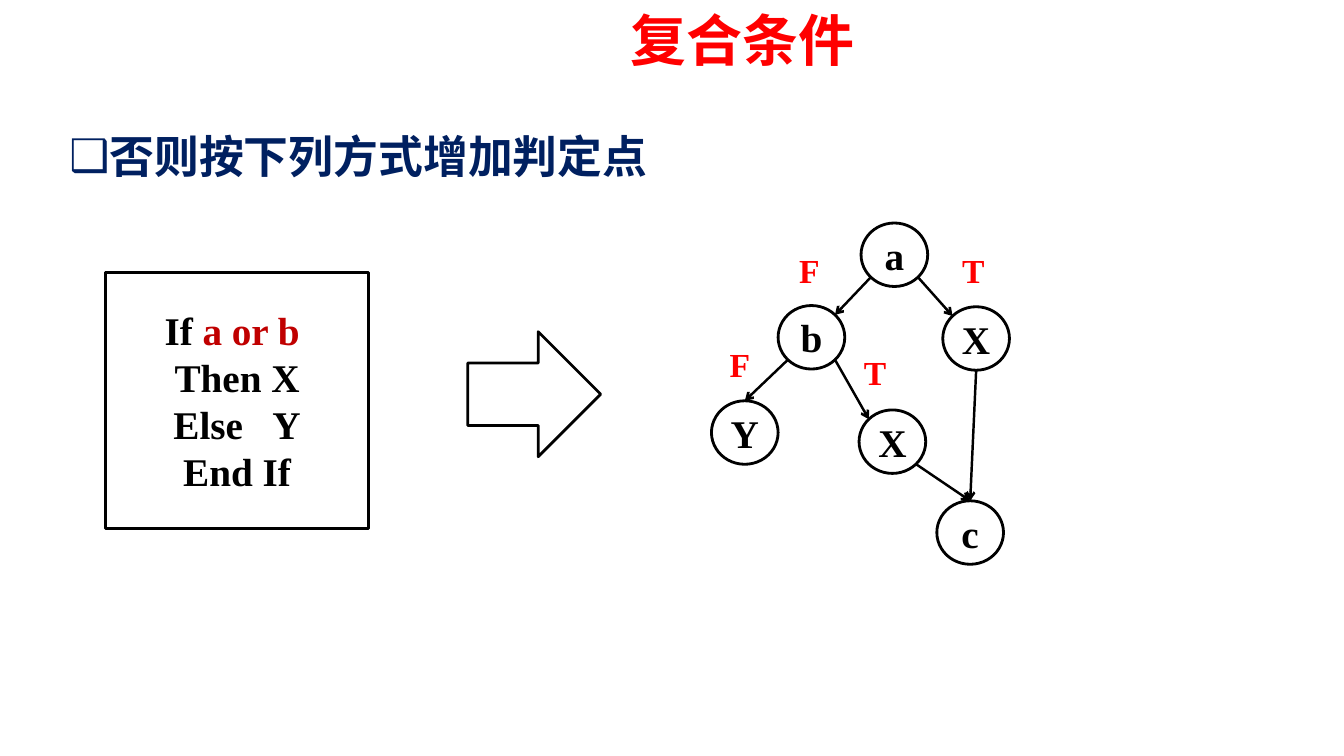
from dataclasses import dataclass
from math import cos, radians, sin

from lxml.etree import SubElement
from pptx import Presentation
from pptx.dml.color import RGBColor
from pptx.enum.shapes import MSO_CONNECTOR, MSO_SHAPE as Shape
from pptx.enum.text import MSO_ANCHOR as Anchor, PP_ALIGN as Align
from pptx.oxml.ns import qn
from pptx.util import Cm, Pt


@dataclass(frozen=True)
class Theme:
    black: str = "000000"
    white: str = "FFFFFF"
    red: str = "FF0000"
    dark_red: str = "C00000"
    navy: str = "002060"
    cjk: str = "Noto Sans CJK SC"
    sans: str = "DejaVu Sans"
    serif: str = "Times New Roman"
    title: int = 40
    body: int = 32
    code: int = 28
    label: int = 24
    outline: float = 2
    edge: float = 1.75


class FlowSlide:
    NODE_W, NODE_H = 1.68, 1.6
    ANGLES = {"top": 270, "bottom": 90, "top left": 225, "top right": 315,
              "bottom left": 135, "bottom right": 45}

    def __init__(self, prs, theme):
        self.theme = theme
        self.slide = prs.slides.add_slide(prs.slide_layouts[6])
        self.shapes = self.slide.shapes
        self.graph = self.shapes.add_group_shape().shapes

    def run(self, p, text, size, color, font):
        r = p.add_run()
        r.text = text
        r.font.size, r.font.bold, r.font.name = Pt(size), True, font
        r.font.color.rgb = RGBColor.from_string(color)
        SubElement(r.font._element, qn("a:ea")).set("typeface", self.theme.cjk)
        return r

    def text(self, box, text, size, color, font):
        sp = self.shapes.add_textbox(*map(Cm, box))
        sp.text_frame.word_wrap = True
        p = sp.text_frame.paragraphs[0]
        self.run(p, text, size, color, font)
        return p

    def bullet(self, box, text):
        t = self.theme
        p = self.text(box, text, t.body, t.navy, t.sans)
        pPr = p._p.get_or_add_pPr()
        pPr.set("marL", str(Cm(0.95)))
        pPr.set("indent", str(-Cm(0.95)))
        SubElement(pPr, qn("a:buFont")).set("typeface", t.sans)
        SubElement(pPr, qn("a:buChar")).set("char", "❑")

    def outlined(self, shapes, kind, box):
        sp = shapes.add_shape(kind, *map(Cm, box))
        sp.shadow.inherit = False
        sp.fill.solid()
        sp.fill.fore_color.rgb = RGBColor.from_string(self.theme.white)
        sp.line.color.rgb = RGBColor.from_string(self.theme.black)
        sp.line.width = Pt(self.theme.outline)
        return sp

    def code(self, box, lines):
        """Each line is a list of (text, colour, extra letter spacing in points)."""
        t = self.theme
        tf = self.outlined(self.shapes, Shape.RECTANGLE, box).text_frame
        tf.vertical_anchor = Anchor.MIDDLE
        for i, line in enumerate(lines):
            p = tf.add_paragraph() if i else tf.paragraphs[0]
            p.alignment = Align.CENTER
            for text, color, spacing in line:
                r = self.run(p, text, t.code, color, t.serif)
                if spacing:
                    r.font._element.set("spc", str(spacing * 100))

    def node(self, left, top, name):
        t = self.theme
        sp = self.outlined(self.graph, Shape.OVAL,
                           (left, top, self.NODE_W, self.NODE_H))
        tf = sp.text_frame
        tf.margin_left = tf.margin_right = tf.margin_top = tf.margin_bottom = 0
        tf.word_wrap = False
        tf.vertical_anchor = Anchor.MIDDLE
        p = tf.paragraphs[0]
        p.alignment = Align.CENTER
        self.run(p, name, t.code, t.black, t.serif)
        return sp

    def rim(self, node, side):
        """Point on a node's outline, as (x, y)."""
        a = radians(self.ANGLES[side])
        return (round(node.left + node.width / 2 * (1 + cos(a))),
                round(node.top + node.height / 2 * (1 + sin(a))))

    def edge(self, start, start_side, end, end_side):
        cxn = self.graph.add_connector(MSO_CONNECTOR.STRAIGHT,
                                       *self.rim(start, start_side),
                                       *self.rim(end, end_side))
        cxn.line.color.rgb = RGBColor.from_string(self.theme.black)
        cxn.line.width = Pt(self.theme.edge)
        SubElement(cxn.line._get_or_add_ln(), qn("a:tailEnd")).set("type", "arrow")
        SubElement(cxn._element.spPr, qn("a:effectLst"))


def main():
    prs = Presentation()
    prs.slide_width, prs.slide_height = Cm(33.87), Cm(19.05)
    t = Theme()
    s = FlowSlide(prs, t)

    s.text((15.64, 0.01, 16.18, 1.96), "复合条件", t.title, t.red, t.cjk)
    s.bullet((1.5, 3.12, 30.33, 14), "否则按下列方式增加判定点")

    s.code((2.66, 6.86, 6.63, 6.45), [
        [("If ", t.black, 0), ("a or b ", t.dark_red, 0)],
        [("Then X", t.black, 0)],
        [("Else", t.black, 0), (" ", t.black, 14), ("Y", t.black, 0)],
        [("End If", t.black, 0)],
    ])
    s.outlined(s.shapes, Shape.RIGHT_ARROW, (11.79, 8.36, 3.35, 3.15))

    a = s.node(21.7, 5.62, "a")
    b = s.node(19.61, 7.7, "b")
    x_right = s.node(23.76, 7.73, "X")
    y = s.node(17.93, 10.1, "Y")
    c = s.node(23.61, 12.62, "c")
    x_left = s.node(21.65, 10.33, "X")

    for ends in [
        (a, "bottom right", x_right, "top left"),
        (a, "bottom left", b, "top right"),
        (b, "bottom left", y, "top"),
        (b, "bottom right", x_left, "top left"),
        (x_left, "bottom right", c, "top"),
        (x_right, "bottom", c, "top"),
    ]:
        s.edge(*ends)

    for left, top, branch in [(19.89, 6.17, "F"), (24, 6.17, "T"),
                              (18.14, 8.53, "F"), (21.52, 8.74, "T")]:
        s.text((left, top, 1.42, 1.27), branch, t.label, t.red, t.serif)

    prs.save("out.pptx")


if __name__ == "__main__":
    main()
